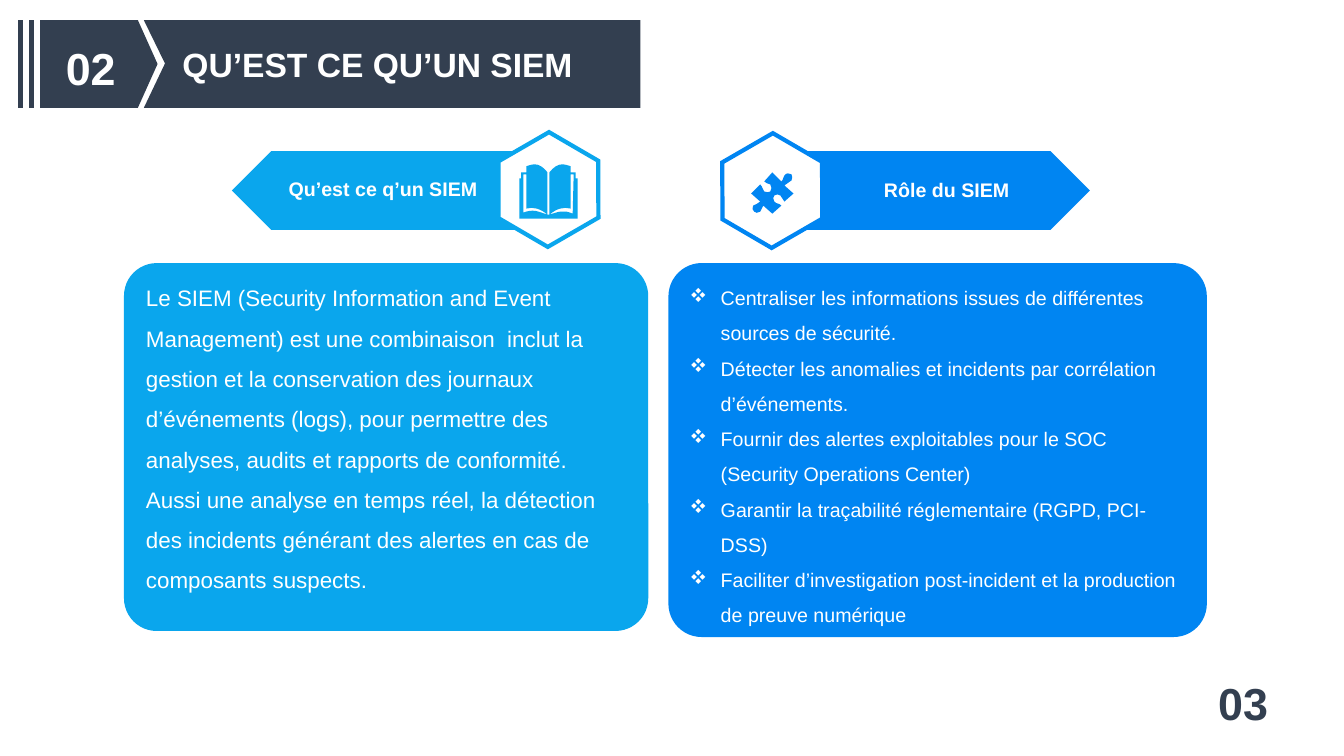
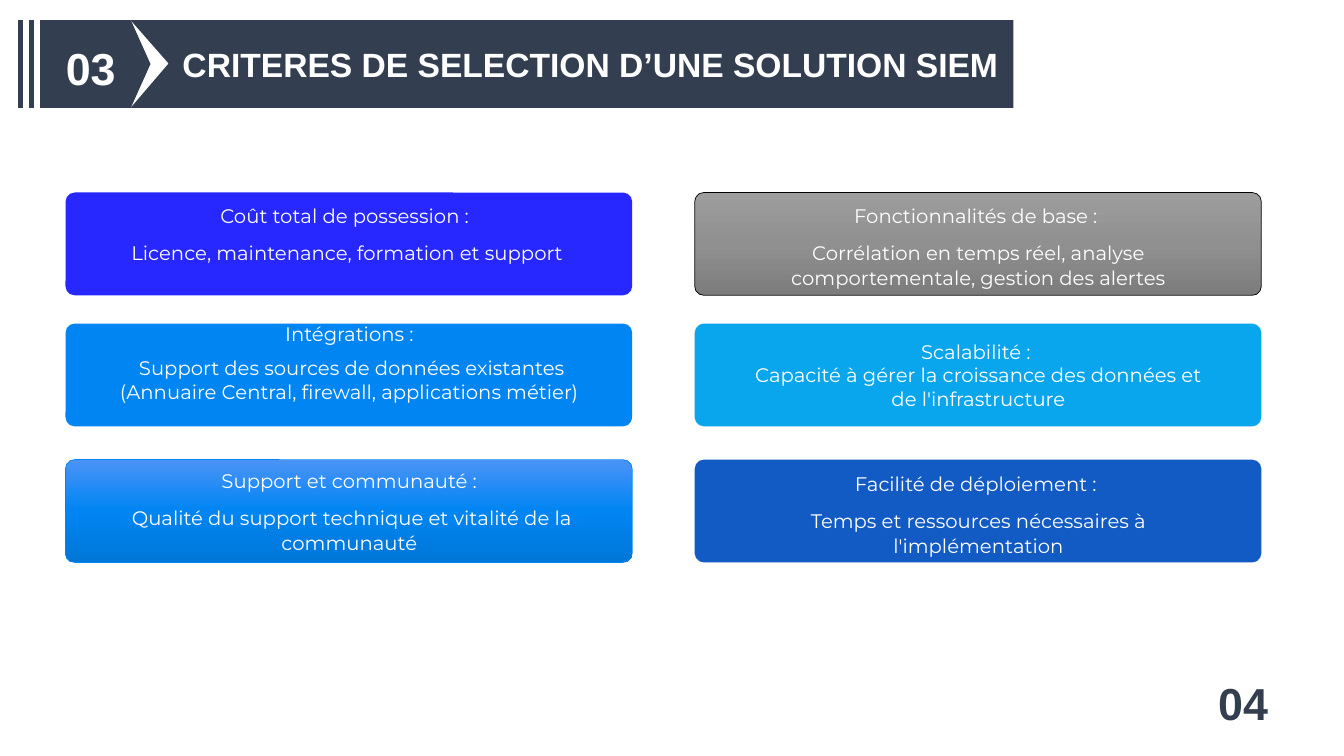
from copy import deepcopy

from lxml.etree import SubElement
from pptx import Presentation
from pptx.dml.color import RGBColor
from pptx.enum.shapes import MSO_SHAPE
from pptx.enum.text import MSO_ANCHOR, MSO_AUTO_SIZE, PP_ALIGN
from pptx.oxml.ns import qn
from pptx.util import Pt

PX = 9144
WIDTH, HEIGHT = 1333, 750
NAVY, WHITE, CYAN, BLUE = "333F50", "FFFFFF", "0AA6ED", "0085F2"
CORNER = 0.089
NUMBER = {"size": Pt(32), "name": "Arial", "bold": True}
TITLE = {"size": Pt(24), "name": "Arial", "bold": True}
LABEL = {"size": Pt(14), "name": "Arial", "bold": True}
BODY = {"size": Pt(16), "name": "Arial", "bold": False}
LIST = {"size": Pt(14), "name": "Arial", "bold": False}
CARD = {"size": Pt(14), "name": "Montserrat", "bold": False}
CENTERED = {"alignment": PP_ALIGN.CENTER}
LEFT = {"alignment": PP_ALIGN.LEFT}
AIRY = {"alignment": PP_ALIGN.LEFT, "line_spacing": 1.5}
SPACED = {"alignment": PP_ALIGN.CENTER, "space_after": Pt(8)}
LOOSE = {**SPACED, "line_spacing": 1.07}

BOOK = [
    (28, 50), (30, 50), (39, 47, 44, 45, 53, 49), (54, 10), (51, 10), (51, 44),
    (44, 42, 37, 44, 30, 50), (30, 8), (34, 3, 38, 0, 43, 0), (45, 0, 48, 1, 51, 2),
    (51, 8), (56, 8), (56, 14), (58, 14), (58, 54), (0, 54), (0, 14), (2, 14), (2, 8),
    (7, 8), (7, 2), (10, 1, 13, 0, 15, 0), (20, 0, 24, 3, 28, 8), (28, 50),
    (21, 44, 14, 42, 7, 44), (7, 10), (4, 10), (4, 48), (14, 44, 19, 47, 28, 50),
]
PUZZLE = [
    (40, 2), (41, 4, 41, 6, 40, 8), (38, 11, 35, 10, 33, 13), (42, 21), (33, 29),
    (30, 27, 32, 25, 29, 23), (27, 21, 25, 22, 23, 23), (22, 24, 21, 27, 23, 29),
    (26, 32, 27, 30, 30, 33), (21, 41), (12, 33), (10, 36, 11, 36, 9, 39),
    (7, 41, 4, 40, 3, 39), (1, 38, 1, 35, 2, 33), (4, 31, 7, 32, 9, 29), (0, 21),
    (9, 12), (12, 15, 11, 17, 13, 19), (15, 20, 18, 20, 19, 19),
    (20, 17, 21, 14, 19, 12), (16, 10, 15, 12, 13, 9), (21, 0), (30, 9),
    (33, 6, 31, 5, 33, 3), (35, 0, 38, 1, 40, 2),
]


def color(value):
    return RGBColor.from_string(value)


def apply(target, values):
    for name, value in values.items():
        setattr(target, name, value)


def paint(shape, fill, line=None, weight=3):
    shape.shadow.inherit = False
    if isinstance(fill, str):
        shape.fill.solid()
        shape.fill.fore_color.rgb = color(fill)
    else:
        shape.fill.gradient()
        shape.fill.gradient_angle = 270
        stop_list = shape.element.find(".//" + qn("a:gsLst"))
        stop_list.insert(1, deepcopy(stop_list[0]))
        for index, stop in enumerate(shape.fill.gradient_stops):
            stop.position = index / 2
            stop.color.rgb = color(fill[index])
    if line:
        shape.line.color.rgb = color(line)
        shape.line.width = Pt(weight)
        outline = shape.element.find(".//" + qn("a:ln"))
        SubElement(outline, qn("a:miter")).set("lim", "800000")
    else:
        shape.line.fill.background()


def add_shape(slide, kind, box, fill, line=None, weight=3, corner=None, rotation=0):
    shape = slide.shapes.add_shape(kind, *(value * PX for value in box))
    paint(shape, fill, line, weight)
    shape.rotation = rotation
    if corner is not None:
        shape.adjustments[0] = corner
    return shape


def add_outline(slide, left, top, points, fill, line=None):
    builder = slide.shapes.build_freeform(*points[0], scale=PX)
    builder.add_line_segments([point[-2:] for point in points[1:]], close=True)
    shape = builder.convert_to_shape(left * PX, top * PX)
    segments = list(shape.element.iter(qn("a:lnTo")))
    for segment, point in zip(segments, points[1:]):
        if len(point) == 6:
            curve = segment.getparent().makeelement(qn("a:cubicBezTo"))
            for x, y in (point[:2], point[2:4], point[4:]):
                SubElement(curve, qn("a:pt"), x=str(x), y=str(y))
            segment.getparent().replace(segment, curve)
    paint(shape, fill, line)


def write(shape, lines, font, paragraph_format, fill, anchor=MSO_ANCHOR.TOP,
          margin=5, bullet=None):
    frame = shape.text_frame
    apply(frame, {
        "word_wrap": True, "auto_size": MSO_AUTO_SIZE.NONE, "vertical_anchor": anchor,
        "margin_left": 10 * PX, "margin_right": 10 * PX,
        "margin_top": margin * PX, "margin_bottom": margin * PX,
    })
    for index, line in enumerate(lines):
        paragraph = frame.add_paragraph() if index else frame.paragraphs[0]
        apply(paragraph, paragraph_format)
        if bullet:
            properties = paragraph._p.get_or_add_pPr()
            properties.set("marL", str(31 * PX))
            properties.set("indent", str(-31 * PX))
            SubElement(properties, qn("a:buFont"), typeface="Wingdings", charset="2")
            SubElement(properties, qn("a:buChar"), char=bullet)
        run = paragraph.add_run()
        run.text = line
        apply(run.font, font)
        run.font.color.rgb = color(fill)


def add_text(slide, box, lines, font, paragraph_format, fill=WHITE, **options):
    shape = slide.shapes.add_textbox(*(value * PX for value in box))
    write(shape, lines, font, paragraph_format, fill, **options)


def add_number(slide, left, top, number, fill):
    add_text(slide, (left, top, 70, 54), [number], NUMBER, CENTERED, fill,
             anchor=MSO_ANCHOR.MIDDLE, margin=0)


def add_header(slide, box, number, title, plate_width, notch_left, notch_tip):
    left, top, width, height = box
    add_outline(slide, 0, 0, [
        (notch_left, top), (left + width, top), (left + width, top + height),
        (notch_left, top + height), (notch_tip, top + height // 2),
    ], NAVY, NAVY)
    add_shape(slide, MSO_SHAPE.PENTAGON, (left, top, plate_width, height), NAVY, NAVY,
              corner=0.224)
    for offset in (5, 16):
        add_shape(slide, MSO_SHAPE.RECTANGLE, (left + offset, top, 2, height), NAVY, WHITE)
    add_number(slide, left + 35, top + 18, number, WHITE)
    placeholder = slide.shapes.title
    apply(placeholder, {
        "left": (left + 151) * PX, "top": (top + 17) * PX,
        "width": (width - 151) * PX, "height": 50 * PX,
    })
    write(placeholder, [title], TITLE, LEFT, WHITE)
    placeholder.element.getparent().append(placeholder.element)


def add_banner(slide, left, top, label, label_left, fill, rise, points_left):
    plate_left, hexagon_left = (left, left + 257) if points_left else (left + 62, left)
    add_shape(slide, MSO_SHAPE.PENTAGON, (plate_left, top, 310, 78), fill,
              rotation=180 if points_left else 0)
    add_shape(slide, MSO_SHAPE.HEXAGON, (hexagon_left, top - rise, 114, 98), WHITE, fill,
              corner=0.286, rotation=330)
    add_text(slide, (left + label_left, top - rise + 32, 210, 34), [label], LABEL, CENTERED)


def add_panel(slide, box, fill, text_inset, text_width, lines, font, bullet=None):
    left, top, width, height = box
    inset_left, inset_top = text_inset
    add_shape(slide, MSO_SHAPE.ROUNDED_RECTANGLE, box, fill, corner=CORNER)
    add_text(slide, (left + inset_left, top + inset_top, text_width, height - 2 * inset_top),
             lines, font, AIRY, bullet=bullet)


def add_card(slide, left, top, lines, fill, text_top, paragraph_format=LOOSE, line=None,
             text_left=39):
    add_shape(slide, MSO_SHAPE.ROUNDED_RECTANGLE, (left, top, 562, 102), fill, line,
              weight=0.5, corner=CORNER)
    add_text(slide, (left + text_left, top + text_top, 485, 96), lines, CARD,
             paragraph_format)


def start_slide(presentation, number, title, page, width, **notch):
    slide = presentation.slides.add_slide(presentation.slide_layouts[5])
    add_header(slide, (20, 22, width, 83), number, title, **notch)
    add_number(slide, 1198, 670, page, NAVY)
    return slide


def build_definition(presentation):
    slide = start_slide(presentation, "02", "QU’EST CE QU’UN SIEM", "03", 613,
                        plate_width=134, notch_left=146, notch_tip=166)
    add_panel(slide, (123, 261, 520, 365), CYAN, (12, 3), 493, [
        "Le SIEM (Security Information and Event Management) est une combinaison  inclut "
        "la gestion et la conservation des journaux d’événements (logs), pour permettre "
        "des analyses, audits et rapports de conformité. Aussi une analyse en temps réel, "
        "la détection des incidents générant des alertes en cas de composants suspects.",
    ], BODY)
    add_panel(slide, (663, 261, 534, 371), BLUE, (11, 6), 509, [
        "Centraliser les informations issues de différentes sources de sécurité.",
        "Détecter les anomalies et incidents par corrélation d’événements.",
        "Fournir des alertes exploitables pour le SOC (Security Operations Center)",
        "Garantir la traçabilité réglementaire (RGPD, PCI-DSS)",
        "Faciliter d’investigation post-incident et la production de preuve numérique",
    ], LIST, bullet="v")
    add_banner(slide, 230, 150, "Qu’est ce q’un SIEM", 45, CYAN, 11, True)
    add_banner(slide, 709, 150, "Rôle du SIEM", 125, BLUE, 10, False)
    add_outline(slide, 515, 163, BOOK, CYAN)
    add_outline(slide, 745, 171, PUZZLE, BLUE)


def build_criteria(presentation):
    slide = start_slide(presentation, "03", "CRITERES DE SELECTION D’UNE SOLUTION SIEM", "04",
                        983, plate_width=127, notch_left=134, notch_tip=170)
    left, right = 65, 689
    first, second, third = 191, 321, 456
    add_card(slide, left, first, [
        "Coût total de possession : ", "Licence, maintenance, formation et support",
    ], "2727FF", 5, text_left=37)
    add_card(slide, right, first, [
        "Fonctionnalités de base : ",
        "Corrélation en temps réel, analyse comportementale, gestion des alertes",
    ], ("9D9D9D", "909090", "7C7C7C"), 5, line="000000")
    add_card(slide, left, second, [
        "Intégrations :",
        " Support des sources de données existantes "
        "(Annuaire Central, firewall, applications métier)",
    ], BLUE, -7, SPACED)
    add_card(slide, right, second, [
        "Scalabilité : ",
        "Capacité à gérer la croissance des données et de l'infrastructure",
    ], CYAN, 11, CENTERED)
    add_card(slide, left, third, [
        "Support et communauté :",
        " Qualité du support technique et vitalité de la communauté",
    ], ("4B93F7", BLUE, "0076D7"), 3, line=BLUE)
    add_card(slide, right, third, [
        "Facilité de déploiement : ", "Temps et ressources nécessaires à l'implémentation",
    ], "125AC4", 6)


def main():
    presentation = Presentation()
    apply(presentation, {"slide_width": WIDTH * PX, "slide_height": HEIGHT * PX})
    build_definition(presentation)
    build_criteria(presentation)
    presentation.save("out.pptx")


if __name__ == "__main__":
    main()
